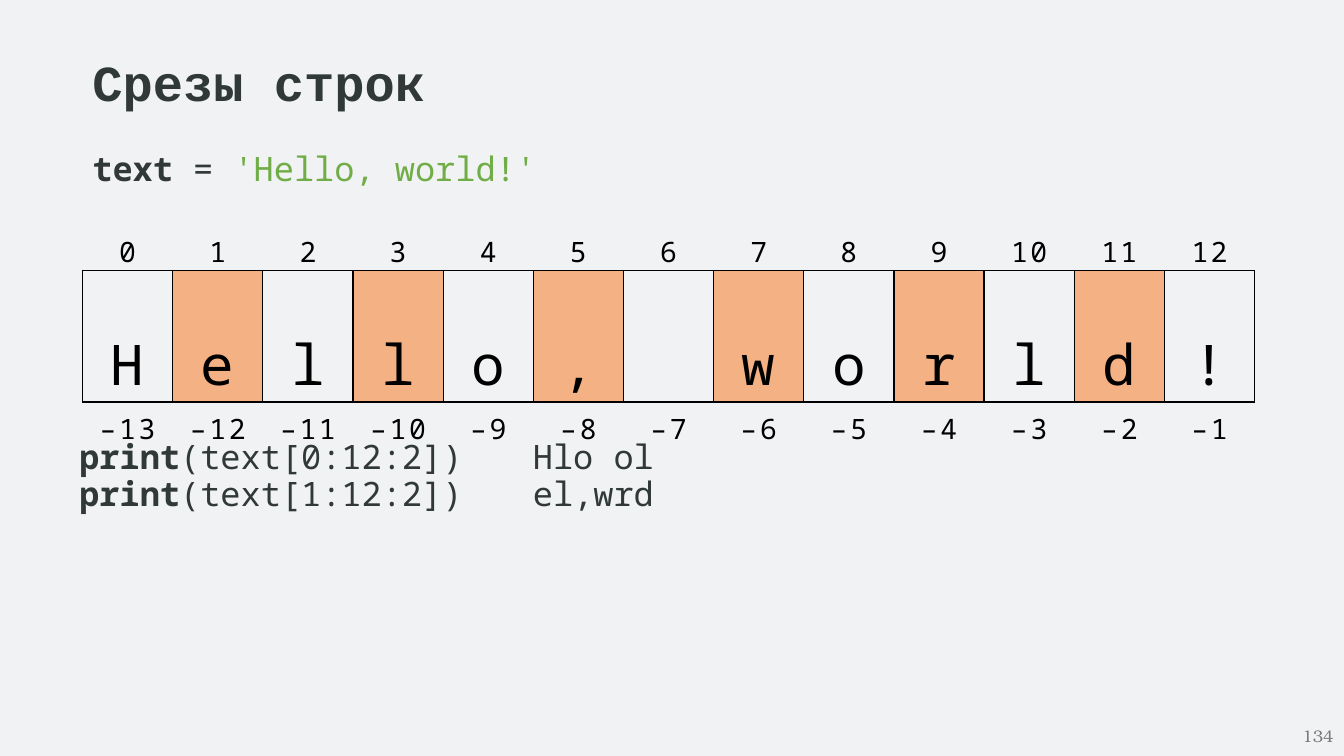
from dataclasses import dataclass

import pptx
import pptx.dml.color
import pptx.enum.text
import pptx.oxml
import pptx.oxml.ns
import pptx.util
from pptx.util import Cm

ALIGN = pptx.enum.text.PP_ALIGN
NO_TABLE_STYLE = "{2D5ABB26-0587-4C30-8999-92F81FD0307C}"


@dataclass(frozen=True)
class Theme:
    """Colours, fonts and type sizes of the slide."""
    background: str = "F1F2F3"
    ink: str = "303938"
    black: str = "000000"
    literal: str = "70AD47"
    highlight: str = "F4B183"
    muted: str = "797979"
    title_font: str = "Courier New"
    code_font: str = "Noto Sans Mono"
    number_font: str = "TeX Gyre Bonum"
    title_size: int = 36
    code_size: int = 24
    index_size: int = 20
    letter_size: int = 40
    number_size: int = 12


THEME = Theme()


def rgb(value):
    """Return a colour object for a hex string."""
    return pptx.dml.color.RGBColor.from_string(value)


def add_run(paragraph, text, font, size, color, bold=False, spacing=0):
    """Add one formatted run to a paragraph."""
    run = paragraph.add_run()
    run.text = text
    run.font.name = font
    run.font.size = pptx.util.Pt(size)
    run.font.color.rgb = rgb(color)
    run.font.bold = bold
    if spacing:
        run.font._element.set("spc", str(round(spacing * 100)))


def add_text_frame(slide, box, wrap=True, grow=True):
    """Add a text box and return its text frame."""
    frame = slide.shapes.add_textbox(*box).text_frame
    frame.word_wrap = wrap
    if grow:
        frame.auto_size = pptx.enum.text.MSO_AUTO_SIZE.SHAPE_TO_FIT_TEXT
    return frame


def add_title(slide, box, text):
    """Place the slide title."""
    paragraph = add_text_frame(slide, box, wrap=False).paragraphs[0]
    add_run(paragraph, text, THEME.title_font, THEME.title_size, THEME.ink, True)


def add_code(slide, box, lines):
    """Place lines of code, each a list of text, colour and weight."""
    frame = add_text_frame(slide, box)
    for number, line in enumerate(lines):
        paragraph = frame.add_paragraph() if number else frame.paragraphs[0]
        paragraph.alignment = ALIGN.JUSTIFY
        paragraph.line_spacing = 0.9
        if number:
            paragraph.space_before = pptx.util.Pt(0.9)
        for text, color, bold in line:
            add_run(paragraph, text, THEME.code_font, THEME.code_size, color, bold)


def add_borders(cell, sides):
    """Draw black one-point borders on the given sides of a cell."""
    properties = cell._tc.get_or_add_tcPr()
    for position, side in enumerate(sides):
        properties.insert(position, pptx.oxml.parse_xml(
            f'<a:ln{side} {pptx.oxml.ns.nsdecls("a")} w="12700"><a:solidFill>'
            f'<a:srgbClr val="{THEME.black}"/></a:solidFill></a:ln{side}>'))


def fill_cell(cell, text, size, sides, line_height=None, top=0, spacing=0, color=None):
    """Set the text, borders and fill of a table cell."""
    add_borders(cell, sides)
    if color:
        cell.fill.solid()
        cell.fill.fore_color.rgb = rgb(color)
    else:
        cell.fill.background()
    cell.margin_left = cell.margin_right = cell.margin_bottom = 0
    cell.margin_top = Cm(top)
    paragraph = cell.text_frame.paragraphs[0]
    paragraph.alignment = ALIGN.CENTER
    if line_height:
        paragraph.line_spacing = pptx.util.Pt(line_height)
    if text.strip():
        add_run(paragraph, text, THEME.code_font, size, THEME.black, spacing=spacing)


def add_index_table(slide, box, word, selected):
    """Place the letters of a word between their two rows of indices."""
    count = len(word)
    frame = slide.shapes.add_table(3, count, *box)
    table = frame.table
    table.first_row = table.horz_banding = False
    style = next(frame._element.iter(pptx.oxml.ns.qn("a:tableStyleId")))
    style.text = NO_TABLE_STYLE
    for row, height in zip(table.rows, (1.07, 2.59, 0.97)):
        row.height = Cm(height)
    for index, letter in enumerate(word):
        table.columns[index].width = int(box[2] / count)
        fill_cell(table.cell(0, index), str(index), THEME.index_size, "B",
                  line_height=34.1, spacing=1.6 if index > 9 else 0)
        fill_cell(table.cell(1, index), letter, THEME.letter_size, "LRTB",
                  line_height=94, color=THEME.highlight if index in selected else None)
        fill_cell(table.cell(2, index), f"–{count - index}", THEME.index_size, "T",
                  top=0.18, spacing=1.9 if count - index > 9 else 2)


def add_slide_number(slide, box, number):
    """Place the slide number."""
    frame = add_text_frame(slide, box, grow=False)
    frame.vertical_anchor = pptx.enum.text.MSO_ANCHOR.MIDDLE
    paragraph = frame.paragraphs[0]
    paragraph.alignment = ALIGN.RIGHT
    add_run(paragraph, number, THEME.number_font, THEME.number_size, THEME.muted)


def build_slide(presentation):
    """Build the slide about string slices."""
    slide = presentation.slides.add_slide(presentation.slide_layouts[6])
    slide.background.fill.solid()
    slide.background.fill.fore_color.rgb = rgb(THEME.background)
    left, width = Cm(2.08), Cm(30.33)
    add_title(slide, (left, Cm(1.17), Cm(8.99), Cm(1.8)), "Срезы строк")
    add_code(slide, (left, Cm(3.73), width, Cm(1.27)), [
        [("text ", THEME.ink, True), ("= ", THEME.ink, False),
         ("'Hello, world!'", THEME.literal, False)]])
    calls = (("0:12:2", "Hlo ol"), ("1:12:2", "el,wrd"))
    add_code(slide, (Cm(1.75), Cm(10.97), width, Cm(4.47)), [
        [("print", THEME.ink, True), (f"(text[{part}])\t\t{result}", THEME.ink, False)]
        for part, result in calls])
    add_index_table(slide, (left, Cm(5.61), Cm(29.54), Cm(4.63)),
                    "Hello, world!", range(1, 12, 2))
    add_slide_number(slide, (Cm(26.24), Cm(18.03), Cm(7.62), Cm(1.02)), "134")


def main():
    """Create and save the presentation."""
    presentation = pptx.Presentation()
    presentation.slide_width = Cm(33.87)
    presentation.slide_height = Cm(19.05)
    build_slide(presentation)
    presentation.save("out.pptx")


if __name__ == "__main__":
    main()
